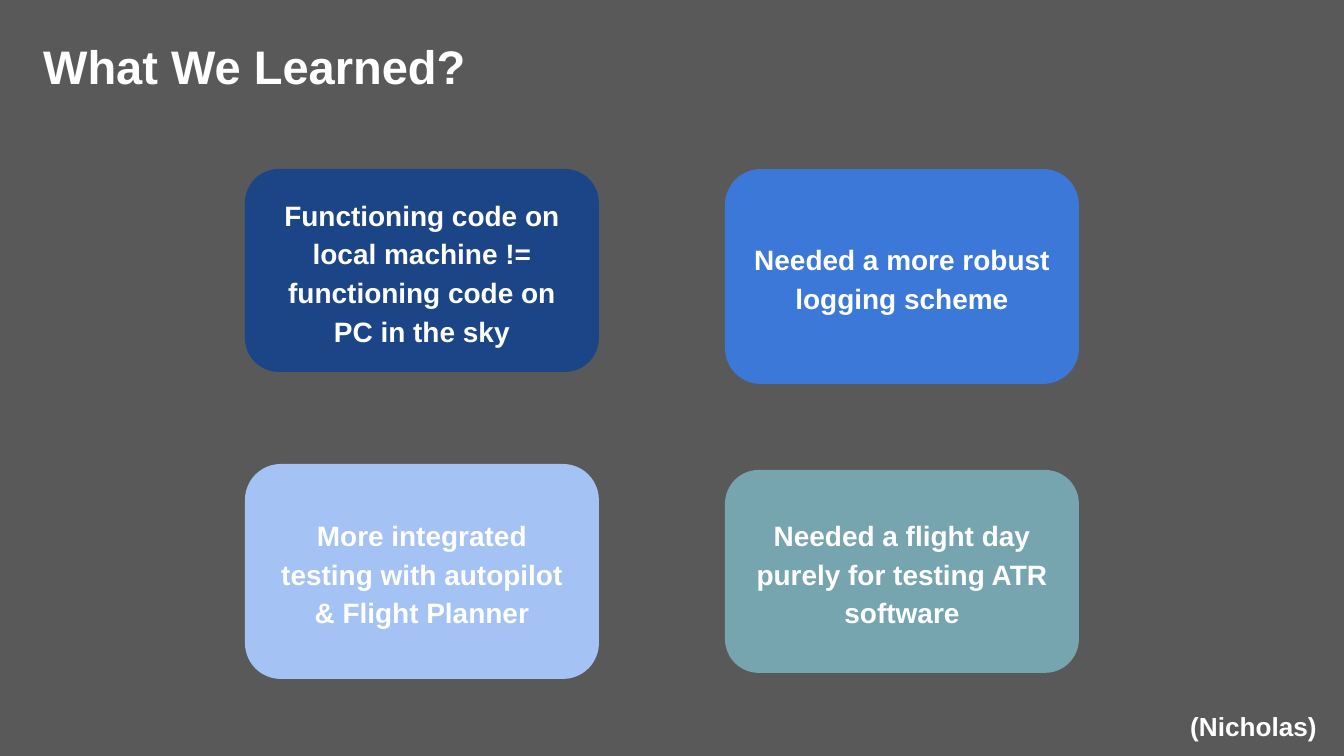
"""Build the "What We Learned?" slide with four lesson cards."""
from dataclasses import dataclass

from pptx import Presentation
from pptx import util as u
from pptx.dml.color import RGBColor
from pptx.enum import shapes, text
from pptx.slide import Slide
from pptx.text.text import TextFrame

WIDTH, HEIGHT = 1344, 756
SCALE = u.Inches(10) / WIDTH
INSET = u.Inches(0.1)
FONT = "Arial"

GREY = RGBColor(0x59, 0x59, 0x59)
WHITE = RGBColor(0xFF, 0xFF, 0xFF)
NAVY = RGBColor(0x1C, 0x45, 0x87)
BLUE = RGBColor(0x3C, 0x78, 0xD8)
SKY = RGBColor(0xA4, 0xC2, 0xF4)
TEAL = RGBColor(0x76, 0xA5, 0xAF)

LEFT_COLUMN, RIGHT_COLUMN = 245, 725
CARD_WIDTH, SHORT, TALL = 354, 203, 215


@dataclass(frozen=True)
class Label:
    words: str
    left: int
    top: int
    width: int
    height: int
    size: float
    wrap: bool


@dataclass(frozen=True)
class Card:
    words: str
    left: int
    top: int
    height: int
    fill: RGBColor


LABELS = [
    Label("What We Learned?", 30, 24, 1253, 85, 25.2, True),
    Label("(Nicholas)", 1177, 697, 167, 59, 14, False),
]

CARDS = [
    Card("Functioning code on local machine != functioning code on PC in the sky",
         LEFT_COLUMN, 169, SHORT, NAVY),
    Card("Needed a more robust logging scheme", RIGHT_COLUMN, 169, TALL, BLUE),
    Card("More integrated testing with autopilot & Flight Planner",
         LEFT_COLUMN, 464, TALL, SKY),
    Card("Needed a flight day purely for testing ATR software",
         RIGHT_COLUMN, 470, SHORT, TEAL),
]


def px(length: int) -> u.Emu:
    return u.Emu(round(length * SCALE))


def write(frame: TextFrame, words: str, size: float, wrap: bool = True) -> None:
    frame.text = words
    frame.word_wrap = wrap
    frame.margin_left = frame.margin_right = INSET
    frame.margin_top = frame.margin_bottom = INSET
    for span in frame.paragraphs[0].runs:
        span.font.name = FONT
        span.font.size = u.Pt(size)
        span.font.bold = True
        span.font.color.rgb = WHITE


def draw_label(page: Slide, label: Label) -> None:
    box = page.shapes.add_textbox(
        px(label.left), px(label.top), px(label.width), px(label.height))
    write(box.text_frame, label.words, label.size, label.wrap)


def draw_card(page: Slide, card: Card) -> None:
    box = page.shapes.add_shape(
        shapes.MSO_SHAPE.ROUNDED_RECTANGLE,
        px(card.left), px(card.top), px(CARD_WIDTH), px(card.height))
    box.shadow.inherit = False
    box.fill.solid()
    box.fill.fore_color.rgb = card.fill
    box.line.fill.background()
    write(box.text_frame, card.words, 15)
    box.text_frame.vertical_anchor = text.MSO_ANCHOR.MIDDLE
    para = box.text_frame.paragraphs[0]
    para.alignment = text.PP_ALIGN.CENTER
    para.line_spacing = 1.15
    para.space_after = u.Pt(12)


def main() -> None:
    deck = Presentation()
    deck.slide_width, deck.slide_height = px(WIDTH), px(HEIGHT)
    page = deck.slides.add_slide(deck.slide_layouts[6])
    page.background.fill.solid()
    page.background.fill.fore_color.rgb = GREY
    for label in LABELS:
        draw_label(page, label)
    for card in CARDS:
        draw_card(page, card)
    deck.save("out.pptx")


if __name__ == "__main__":
    main()
